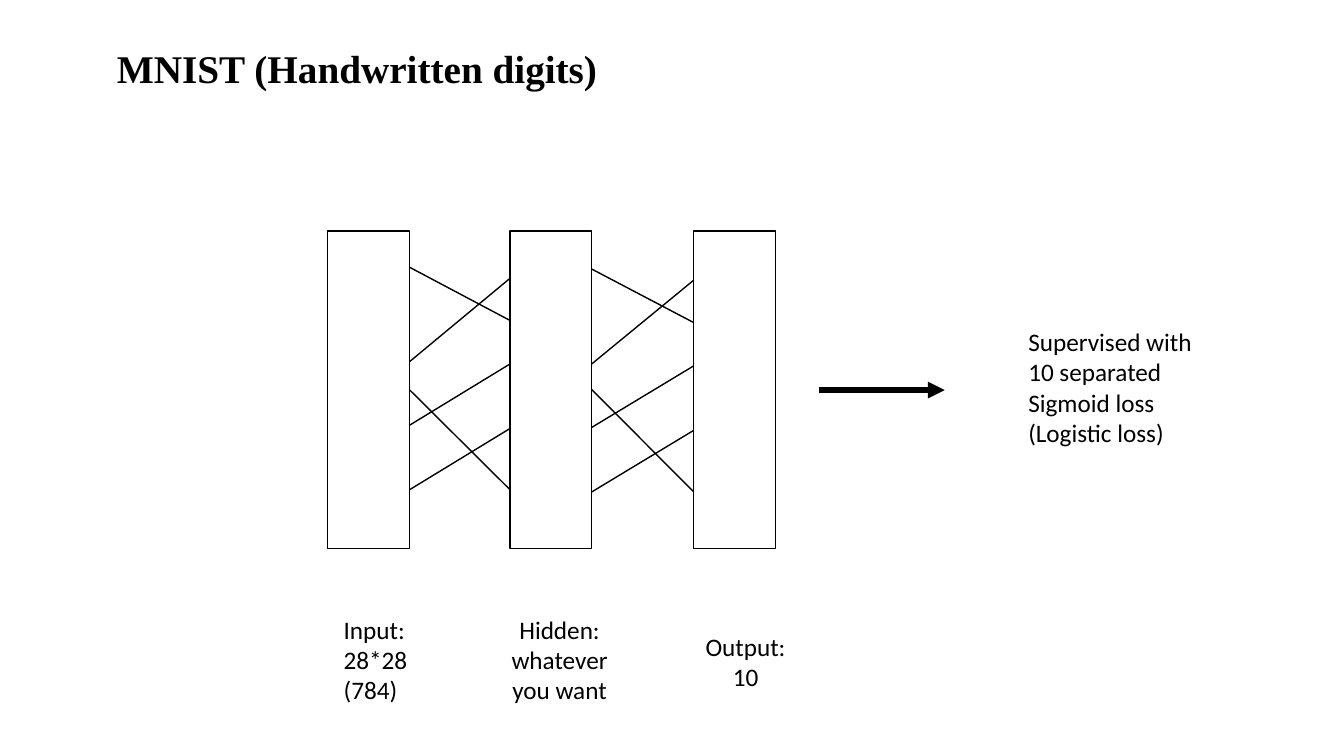
from pptx import Presentation
from pptx.dml.color import RGBColor
from pptx.enum.shapes import MSO_CONNECTOR as CONNECTOR, MSO_SHAPE as SHAPE
from pptx.enum.text import MSO_ANCHOR as ANCHOR, PP_ALIGN as ALIGN
from pptx.oxml.ns import qn
from pptx.util import Inches, Pt
from lxml.etree import SubElement

COLORS = {"ink": "000000", "paper": "FFFFFF"}
INK = RGBColor.from_string(COLORS["ink"])
PAPER = RGBColor.from_string(COLORS["paper"])


def write_text(shape, lines, align, font_format):
    frame = shape.text_frame
    frame.word_wrap = True
    frame.text = "\n".join(lines)
    for paragraph in frame.paragraphs:
        paragraph.alignment = align
        font = paragraph.runs[0].font
        for name, value in font_format.items():
            setattr(font, name, value)
        font.color.rgb = INK


def add_line(start, end, width):
    """Draw a straight, shadowless connector between two points in inches."""
    line = slide.shapes.add_connector(
        CONNECTOR.STRAIGHT, *[Inches(value) for value in (*start, *end)])
    line.line.color.rgb = INK
    line.line.width = Pt(width)
    SubElement(line._element.spPr, qn("a:effectLst"))
    return line


presentation = Presentation()
presentation.slide_width = Inches(13.33)
presentation.slide_height = Inches(7.5)
slide = presentation.slides.add_slide(presentation.slide_layouts[5])
slide.background.fill.solid()
slide.background.fill.fore_color.rgb = PAPER

title = slide.shapes.title
title.left, title.top = Inches(1.06), Inches(0.39)
title.width, title.height = Inches(7.06), Inches(0.57)
title.text_frame.vertical_anchor = ANCHOR.TOP
write_text(title, ["MNIST (Handwritten digits)"], ALIGN.LEFT,
           {"name": "Times New Roman", "size": Pt(28), "bold": True})

# Network layers, left to right
LAYER_TOP, LAYER_WIDTH, LAYER_HEIGHT = 2.29, 0.81, 3.15
layer_lefts = [3.25, 5.06, 6.88]
layers = []
for left in layer_lefts:
    layer = slide.shapes.add_shape(
        SHAPE.RECTANGLE, Inches(left), Inches(LAYER_TOP),
        Inches(LAYER_WIDTH), Inches(LAYER_HEIGHT))
    layer.shadow.inherit = False
    layer.fill.solid()
    layer.fill.fore_color.rgb = PAPER
    layer.line.color.rgb = INK
    layer.line.width = Pt(1)
    layers.append(layer)

# Heights of each link at its left and right layer
MIDDLE = 3.87
link_heights = [(2.65, 3.18), (3.59, 2.76), (MIDDLE, 4.86), (4.22, 3.61), (4.86, 4.25)]
for index, drop in enumerate([0, 0.02]):
    start_x = layer_lefts[index] + LAYER_WIDTH
    end_x = layer_lefts[index + 1]
    for start_y, end_y in link_heights:
        link = add_line((start_x, start_y + drop), (end_x, end_y + drop), 1)
        if start_y == MIDDLE:
            link.begin_connect(layers[index], 3)

arrow = add_line((8.12, MIDDLE), (9.37, MIDDLE), 4)
SubElement(arrow.line._get_or_add_ln(), qn("a:tailEnd"), type="triangle")

labels = [
    (3.31, 6.04, 0.91, 1.01, ALIGN.LEFT, ["Input: 28*28", "(784)"]),
    (4.86, 6.04, 1.38, 1.01, ALIGN.CENTER, ["Hidden: whatever you want"]),
    (6.88, 6.21, 1.03, 0.71, ALIGN.CENTER, ["Output: 10"]),
    (10.1, 3.19, 2.08, 1.31, ALIGN.LEFT,
     ["Supervised with 10 separated Sigmoid loss", "(Logistic loss)"]),
]
for *box, align, lines in labels:
    label = slide.shapes.add_textbox(*[Inches(value) for value in box])
    write_text(label, lines, align, {"name": "Calibri", "size": Pt(18)})

presentation.save("out.pptx")
